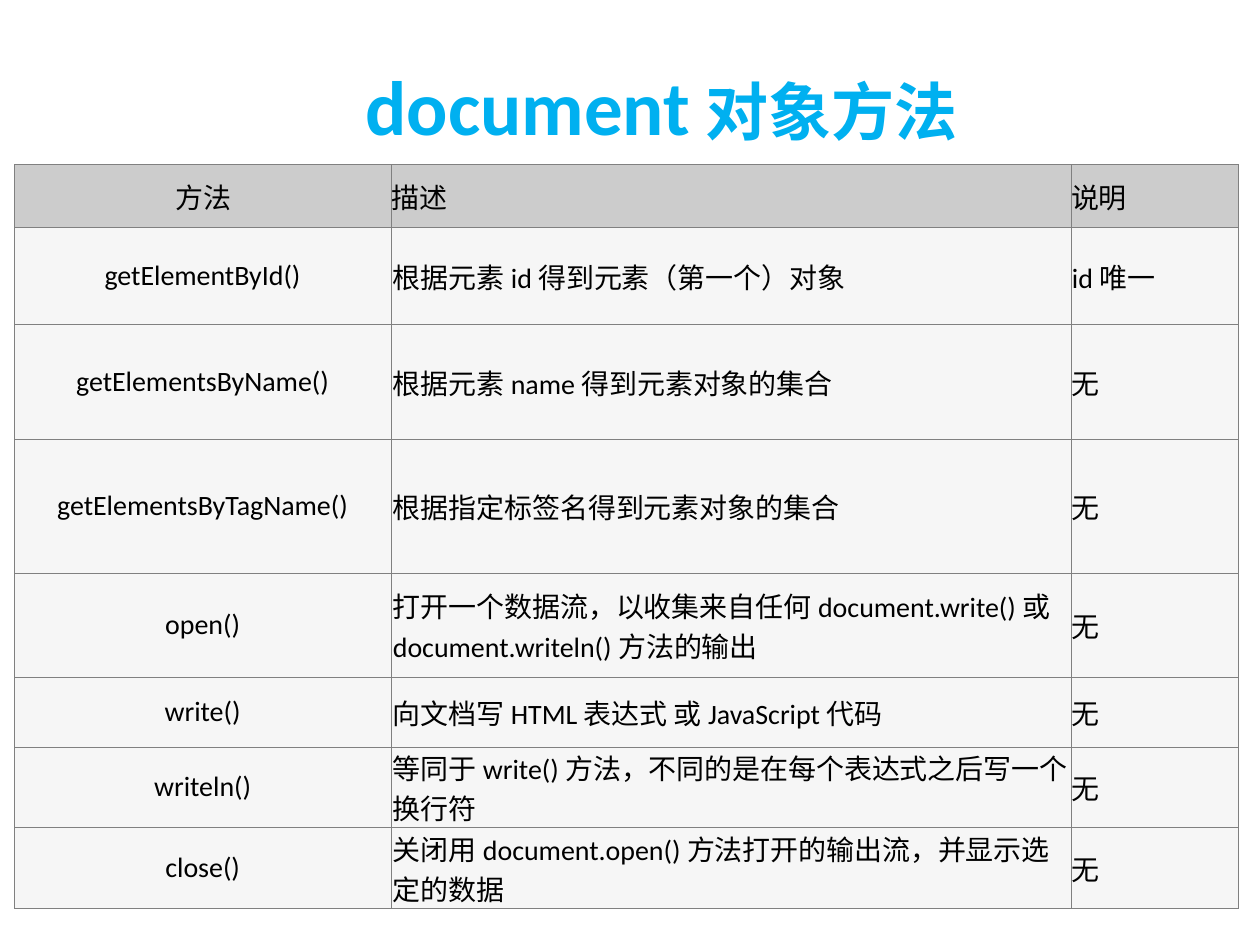
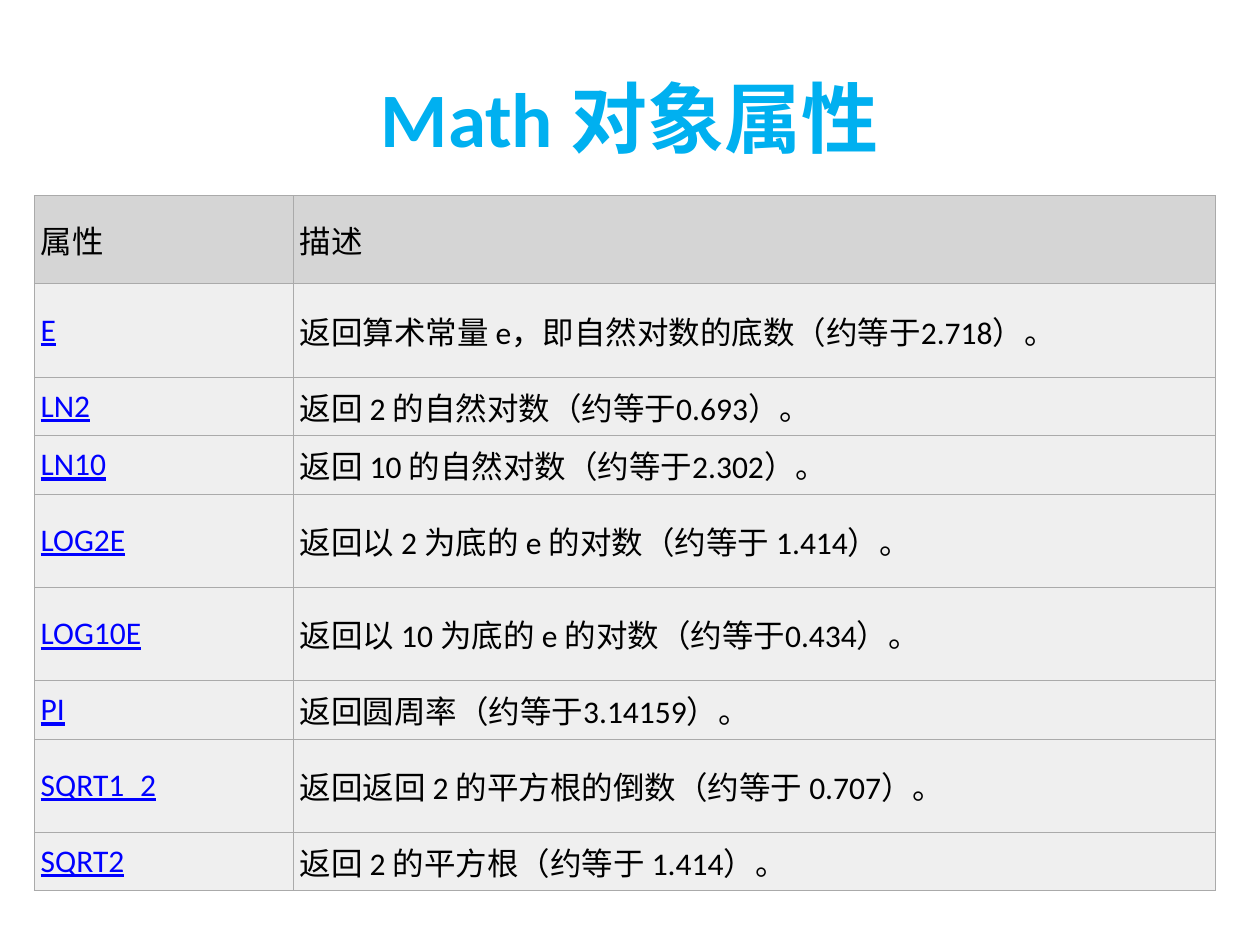
from lxml.etree import SubElement
from pptx import Presentation
from pptx.dml.color import RGBColor
from pptx.enum.lang import MSO_LANGUAGE_ID
from pptx.enum.text import MSO_ANCHOR, MSO_AUTO_SIZE, PP_ALIGN
from pptx.oxml.ns import qn
from pptx.util import Cm, Pt

FONT = "Calibri"
BORDER_PT = 0.6
COLORS = {
    "title": "00B0F0",
    "text": "000000",
    "link": "0000FF",
}

# Lengths in cm; margins are left, top, right, bottom; titles hold (text, size) runs.
SLIDES = [
    {
        "title": [("document", 44), (" 对象方法", 36)],
        "title_at": (1.9, 0.53),
        "table_at": (0.3, 3.32),
        "cols": [7.6, 13.69, 3.37],
        "row_heights": [1.27, 1.96, 2.31, 2.69, 2.11, 1.4, 1.4, 1.4],
        "size": 16,
        "border": "808080",
        "header": {"fill": "CCCCCC", "margins": (0, 0, 0, 0)},
        "body": {"fill": "F6F6F6", "margins": (0.02, 0, 0.05, 0)},
        "first_col": {"align": PP_ALIGN.CENTER, "linked": False},
        "rows": [
            ("方法", "描述", "说明"),
            ("getElementById()", "根据元素 id 得到元素（第一个）对象", "id 唯一"),
            ("getElementsByName()", "根据元素 name 得到元素对象的集合", "无"),
            ("getElementsByTagName()", "根据指定标签名得到元素对象的集合", "无"),
            ("open()", "打开一个数据流，以收集来自任何 document.write() 或 "
                       "document.writeln() 方法的输出", "无"),
            ("write()", "向文档写 HTML 表达式 或 JavaScript 代码", "无"),
            ("writeln()", "等同于 write() 方法，不同的是在每个表达式之后写一个换行符", "无"),
            ("close()", "关闭用 document.open() 方法打开的输出流，并显示选定的数据", "无"),
        ],
    },
    {
        "title": [("Math 对象属性", 44)],
        "title_at": (1.27, 0.76),
        "table_at": (0.69, 3.94),
        "cols": [5.22, 18.59],
        "row_heights": [1.78, 1.88, 1.07, 1.07, 1.88, 1.88, 1.07, 1.88, 1.07],
        "size": 18,
        "border": "AAAAAA",
        "header": {"fill": "D5D5D5", "margins": (0.13, 0.1, 0.3, 0.1)},
        "body": {"fill": "EFEFEF", "margins": (0.13, 0.13, 0.3, 0.13)},
        "first_col": {"align": PP_ALIGN.LEFT, "linked": True},
        "rows": [
            ("属性", "描述"),
            ("E", "返回算术常量 e，即自然对数的底数（约等于2.718）。"),
            ("LN2", "返回 2 的自然对数（约等于0.693）。"),
            ("LN10", "返回 10 的自然对数（约等于2.302）。"),
            ("LOG2E", "返回以 2 为底的 e 的对数（约等于 1.414）。"),
            ("LOG10E", "返回以 10 为底的 e 的对数（约等于0.434）。"),
            ("PI", "返回圆周率（约等于3.14159）。"),
            ("SQRT1_2", "返回返回 2 的平方根的倒数（约等于 0.707）。"),
            ("SQRT2", "返回 2 的平方根（约等于 1.414）。"),
        ],
    },
]


def set_font(font, size, color, bold=False, underline=False):
    font.name, font.size, font.bold, font.underline = FONT, Pt(size), bold, underline
    font.color.rgb = RGBColor.from_string(COLORS[color])
    font.language_id = MSO_LANGUAGE_ID.SIMPLIFIED_CHINESE


def add_title(s, runs, at):
    sp = s.shapes.title
    sp.left, sp.top = map(Cm, at)
    sp.width, sp.height = Cm(22.86), Cm(3.18)
    tf = sp.text_frame
    tf.auto_size = MSO_AUTO_SIZE.NONE
    tf.vertical_anchor = MSO_ANCHOR.MIDDLE
    p = tf.paragraphs[0]
    p.alignment = PP_ALIGN.CENTER
    for text, size in runs:
        r = p.add_run()
        r.text = text
        set_font(r.font, size, "title", bold=True)


def add_borders(cell, color):
    tc_pr = cell._tc.get_or_add_tcPr()
    for side in ("lnL", "lnR", "lnT", "lnB"):
        ln = SubElement(tc_pr, qn(f"a:{side}"), w=str(Pt(BORDER_PT)))
        fill = SubElement(ln, qn("a:solidFill"))
        SubElement(fill, qn("a:srgbClr"), val=color)


def fill_cell(cell, text, style, border, size, align, linked):
    add_borders(cell, border)
    cell.fill.solid()
    cell.fill.fore_color.rgb = RGBColor.from_string(style["fill"])
    (cell.margin_left, cell.margin_top,
     cell.margin_right, cell.margin_bottom) = map(Cm, style["margins"])
    cell.vertical_anchor = MSO_ANCHOR.MIDDLE
    cell.text = text
    p = cell.text_frame.paragraphs[0]
    p.alignment = align
    set_font(p.font, size, "link" if linked else "text", underline=linked)


def add_grid(s, d):
    cols, heights = d["cols"], d["row_heights"]
    frame = s.shapes.add_table(len(heights), len(cols), *map(Cm, d["table_at"]),
                               Cm(sum(cols)), Cm(sum(heights)))
    table = frame.table
    for column, width in zip(table.columns, cols):
        column.width = Cm(width)
    for i, (height, texts) in enumerate(zip(heights, d["rows"])):
        table.rows[i].height = Cm(height)
        style = d["body"] if i else d["header"]
        for j, text in enumerate(texts):
            align = PP_ALIGN.LEFT if j else d["first_col"]["align"]
            linked = i > 0 and j == 0 and d["first_col"]["linked"]
            fill_cell(table.cell(i, j), text, style, d["border"], d["size"], align, linked)
    table.first_row = table.horz_banding = False


def main():
    prs = Presentation()
    prs.slide_width, prs.slide_height = Cm(25.4), Cm(19.05)
    title_only = prs.slide_layouts[5]
    for d in SLIDES:
        s = prs.slides.add_slide(title_only)
        add_title(s, d["title"], d["title_at"])
        add_grid(s, d)
    prs.save("out.pptx")


if __name__ == "__main__":
    main()
